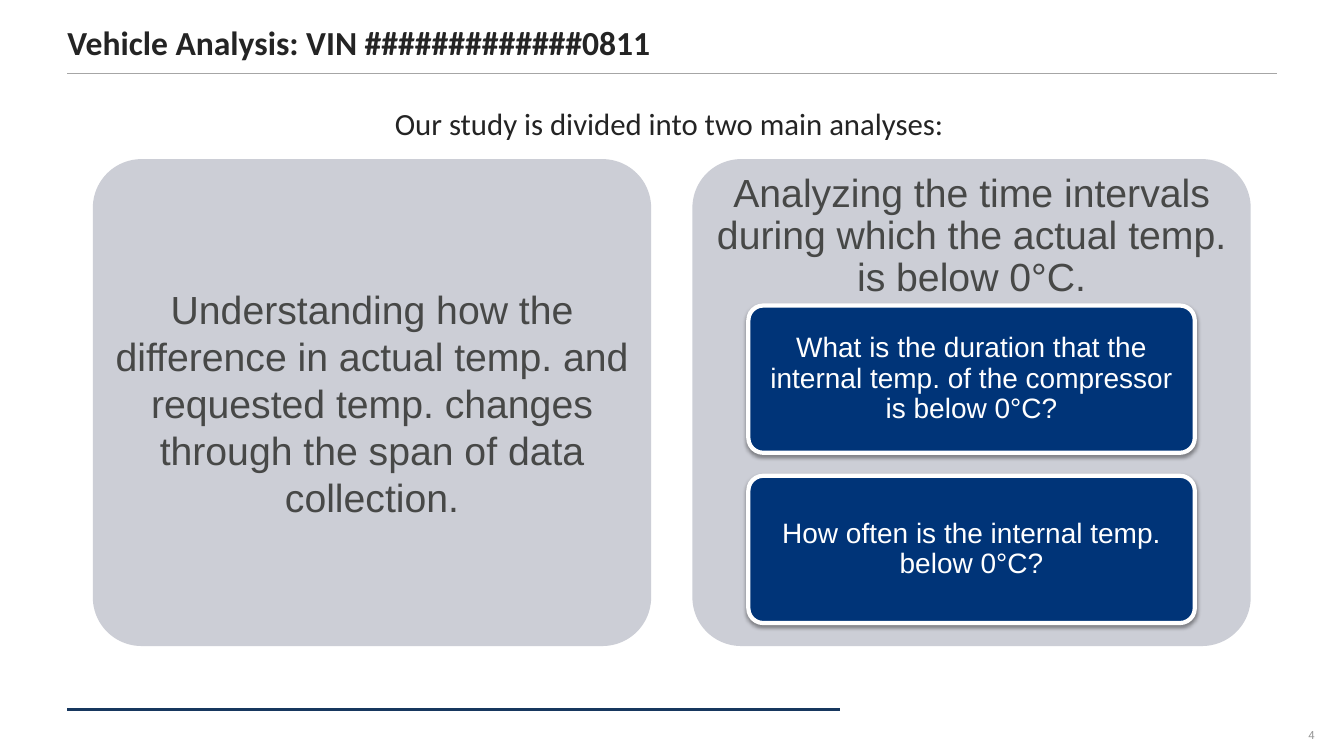
from lxml import etree
from pptx import Presentation
from pptx.dml.color import RGBColor
from pptx.enum.shapes import MSO_CONNECTOR as Connector, MSO_SHAPE as Shape
from pptx.enum.text import MSO_ANCHOR as Anchor, MSO_AUTO_SIZE as AutoSize, PP_ALIGN as Align
from pptx.oxml.ns import qn
from pptx.util import Cm, Pt

# Content
TITLE = "Vehicle Analysis: VIN #############0811"
INTRO = "Our study is divided into two main analyses:"
PAGE = "4"
ANALYSES = [
    {"text": "Understanding how the difference in actual temp. and requested temp. "
             "changes through the span of data collection.",
     "questions": []},
    {"text": "Analyzing the time intervals during which the actual temp. is below 0°C.",
     "questions": ["What is the duration that the internal temp. of the compressor is below 0°C?",
                   "How often is the internal temp. below 0°C?"]},
]

# Colours
INK, GREY_TEXT, PAGE_GREY = "242424", "474847", "999999"
PANEL, NAVY, WHITE = "CCCED6", "003478", "FFFFFF"

# Layout in centimetres
MARGIN, CONTENT_W = 1.7, 30.48
PANEL_LEFT, PANEL_TOP, PANEL_W, PANEL_H, PANEL_GAP = 2.34, 4.01, 14.07, 12.27, 1.04
QUESTION_TOP, QUESTION_W, QUESTION_H, QUESTION_GAP = 7.7, 11.25, 3.71, 0.58
RULES = [(1.85, CONTENT_W, "A6A6A6", 1), (17.88, 19.48, "17375E", 2.25)]
LINE_INSETS = (0, 0.13, 0.25, 0.13)


def color(hex_string):
    return RGBColor.from_string(hex_string)


def write(shape, text, size, font, hex_color, insets, anchor=Anchor.MIDDLE,
          align=Align.CENTER, bold=False, spacing=None):
    frame = shape.text_frame
    frame.word_wrap = True
    frame.auto_size = AutoSize.NONE
    frame.vertical_anchor = anchor
    frame.margin_left, frame.margin_top, frame.margin_right, frame.margin_bottom = map(Cm, insets)
    paragraph = frame.paragraphs[0]
    paragraph.alignment = align
    paragraph.line_spacing = spacing
    run = paragraph.add_run()
    run.text = text
    run.font.size, run.font.name, run.font.bold = Pt(size), font, bold
    run.font.color.rgb = color(hex_color)


def add_card(slide, left, top, width, height, fill):
    card = slide.shapes.add_shape(Shape.ROUNDED_RECTANGLE, Cm(left), Cm(top), Cm(width), Cm(height))
    card.adjustments[0] = 0.1
    card.shadow.inherit = False
    card.fill.solid()
    card.fill.fore_color.rgb = color(fill)
    card.line.fill.background()
    return card


def add_question(slide, left, top, text):
    card = add_card(slide, left, top, QUESTION_W, QUESTION_H, NAVY)
    card.line.color.rgb = color(WHITE)
    card.line.width = Pt(3)
    effects = card._element.spPr.find(qn("a:effectLst"))
    shadow = etree.SubElement(effects, qn("a:outerShdw"), blurRad=str(Pt(3.1)),
                              dist=str(Pt(1.6)), dir="5400000", rotWithShape="0")
    black = etree.SubElement(shadow, qn("a:srgbClr"), val="000000")
    etree.SubElement(black, qn("a:alpha"), val="38000")
    write(card, text, 20, "Arial", WHITE, (0.15, 0.1, 0.15, 0.1), spacing=0.9)


def add_rule(slide, top, width, hex_color, weight):
    rule = slide.shapes.add_connector(Connector.STRAIGHT, Cm(MARGIN), Cm(top),
                                      Cm(MARGIN + width), Cm(top))
    rule.line.color.rgb = color(hex_color)
    rule.line.width = Pt(weight)
    etree.SubElement(rule._element.spPr, qn("a:effectLst"))


def main():
    deck = Presentation()
    deck.slide_width, deck.slide_height = Cm(33.87), Cm(19.05)
    slide = deck.slides.add_slide(deck.slide_layouts[5])

    # Rules under the title and above the footer
    for rule in RULES:
        add_rule(slide, *rule)

    # Title, page number and introduction
    title = slide.shapes.title
    title.left, title.top, title.width, title.height = map(Cm, (MARGIN, 0.41, CONTENT_W, 1.3))
    write(title, TITLE, 24, "Calibri", INK, LINE_INSETS, Anchor.BOTTOM, Align.LEFT, bold=True)
    page = slide.shapes.add_textbox(Cm(32.23), Cm(18.01), Cm(1.64), Cm(1.02))
    write(page, PAGE, 8, "Roboto", PAGE_GREY, (0, 0, 0, 0))
    intro = slide.shapes.add_textbox(Cm(1.75), Cm(2.51), Cm(CONTENT_W), Cm(1.3))
    write(intro, INTRO, 22, "Calibri", INK, LINE_INSETS, Anchor.TOP)

    # One panel per analysis, with its questions stacked inside
    for column, analysis in enumerate(ANALYSES):
        left = PANEL_LEFT + column * (PANEL_W + PANEL_GAP)
        panel = add_card(slide, left, PANEL_TOP, PANEL_W, PANEL_H, PANEL)
        questions = analysis["questions"]
        write(panel, analysis["text"], 28, "Arial", GREY_TEXT, (0, 0, 0, 0),
              Anchor.TOP if questions else Anchor.MIDDLE, spacing=0.9 if questions else None)
        for row, question in enumerate(questions):
            add_question(slide, left + (PANEL_W - QUESTION_W) / 2,
                         QUESTION_TOP + row * (QUESTION_H + QUESTION_GAP), question)

    deck.save("out.pptx")


if __name__ == "__main__":
    main()
